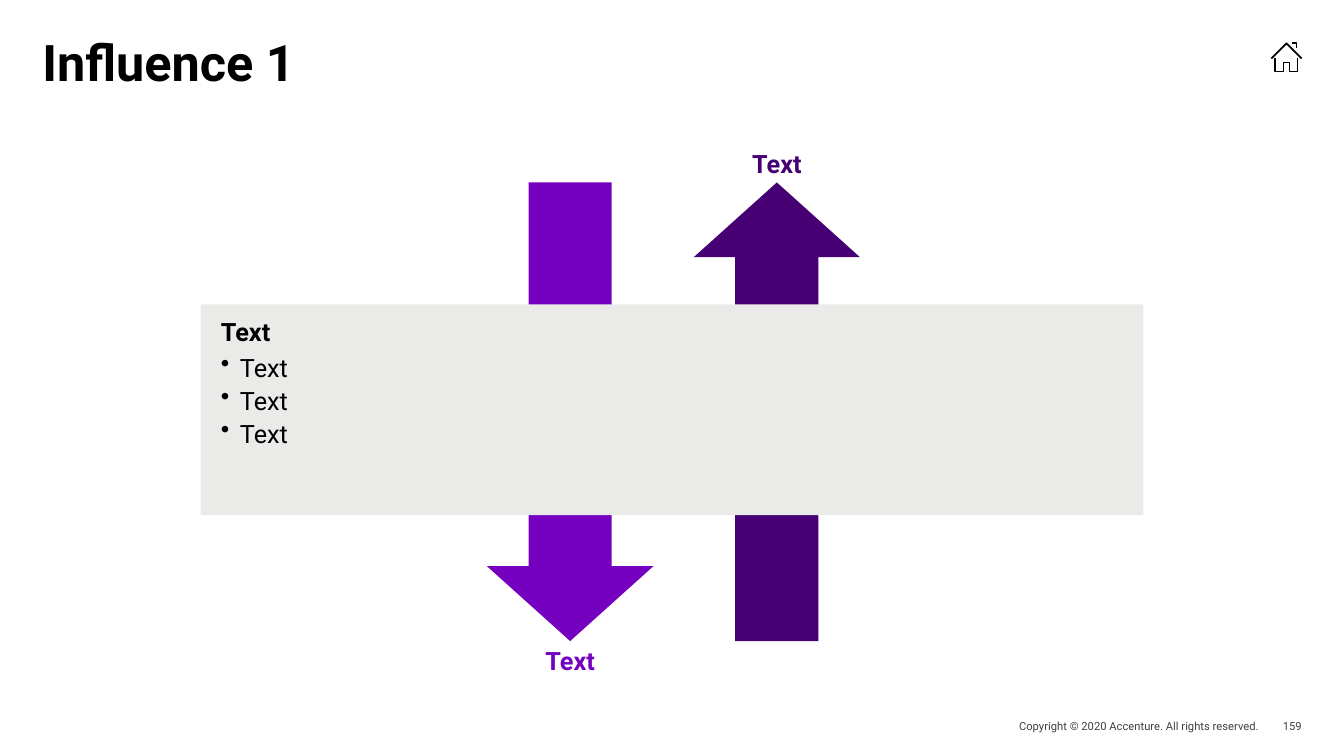
"""Build the "Influence 1" slide: two opposing arrows passing behind a text panel."""
import pptx
import pptx.util
import pptx.dml.color
import pptx.enum.shapes
import pptx.enum.text
from lxml import etree

SHAPE = pptx.enum.shapes.MSO_SHAPE
ALIGN = pptx.enum.text.PP_ALIGN
ANCHOR = pptx.enum.text.MSO_ANCHOR
Inches, Pt = pptx.util.Inches, pptx.util.Pt

TITLE = "Influence 1"
COPYRIGHT = "Copyright © 2020 Accenture. All rights reserved."
PAGE = "159"
PANEL_HEADING = "Text"
PANEL_BULLETS = ["Text", "Text", "Text"]
INFLUENCES = [
    {"label": "Text", "direction": "down", "color": "violet"},
    {"label": "Text", "direction": "up", "color": "indigo"},
]
HOME_STROKES = [
    [(1261, 58), (1276, 43), (1291, 58)],
    [(1281, 43), (1286, 43), (1286, 48)],
    [(1265, 58), (1265, 71), (1273, 71), (1273, 62),
     (1279, 62), (1279, 71), (1287, 71), (1287, 58)],
]
COLORS = {"black": "000000", "footer": "404040", "violet": "7500C0",
          "indigo": "460073", "panel": "EAEAE8"}
FONT = "Roboto"

WIDTH, HEIGHT = 13.33, 7.5
MARGIN = 0.42
RIGHT = WIDTH - MARGIN
PANEL_W, PANEL_H, PANEL_TOP = 9.35, 2.09, 3.02
ARROW_W, ARROW_H, ARROW_TOP = 1.65, 4.55, 1.81
ARROW_PITCH, ARROWS_MIDDLE = 2.05, 6.68
LABEL_W, LABEL_H = 1.95, 0.38
FOOTER_TOP, FOOTER_H, PAGE_W, COPYRIGHT_W = 7.09, 0.23, 0.42, 3.4


def rgb(color):
    return pptx.dml.color.RGBColor.from_string(COLORS[color])


def style(paragraph, size, color, bold=False):
    font = paragraph.font
    font.name, font.size, font.bold = FONT, Pt(size), bold
    font.color.rgb = rgb(color)


def set_margins(frame, left=0, top=0, right=0, bottom=0):
    frame.margin_left, frame.margin_top = Inches(left), Inches(top)
    frame.margin_right, frame.margin_bottom = Inches(right), Inches(bottom)
    frame.word_wrap = True


def add_text(slide, box, text, size, color, bold=False, align=ALIGN.LEFT,
             anchor=ANCHOR.MIDDLE):
    frame = slide.shapes.add_textbox(*map(Inches, box)).text_frame
    set_margins(frame)
    frame.vertical_anchor = anchor
    frame.text = text
    line = frame.paragraphs[0]
    line.alignment = align
    style(line, size, color, bold)
    return line


def add_solid(slide, preset, box, color):
    solid = slide.shapes.add_shape(preset, *map(Inches, box))
    solid.shadow.inherit = False
    solid.fill.solid()
    solid.fill.fore_color.rgb = rgb(color)
    solid.line.fill.background()
    return solid


def add_home(slide):
    outline = slide.shapes.build_freeform(*HOME_STROKES[0][0], scale=Inches(0.01))
    for index, (start, *rest) in enumerate(HOME_STROKES):
        if index:
            outline.move_to(*start)
        outline.add_line_segments(rest, close=False)
    home = outline.convert_to_shape()
    home.shadow.inherit = False
    home.fill.background()
    home.line.color.rgb = rgb("black")
    home.line.width = Pt(1.25)


def add_influence(slide, index, influence):
    center = ARROWS_MIDDLE + (index - (len(INFLUENCES) - 1) / 2) * ARROW_PITCH
    down = influence["direction"] == "down"
    arrow = add_solid(slide, SHAPE.DOWN_ARROW if down else SHAPE.UP_ARROW,
                      (center - ARROW_W / 2, ARROW_TOP, ARROW_W, ARROW_H),
                      influence["color"])
    arrow.adjustments[0], arrow.adjustments[1] = 0.5, 0.45
    label_top = ARROW_TOP + ARROW_H if down else ARROW_TOP - LABEL_H
    add_text(slide, (center - LABEL_W / 2, label_top, LABEL_W, LABEL_H),
             influence["label"], 18, influence["color"], True, ALIGN.CENTER)


def add_bullet(paragraph):
    properties = paragraph._p.get_or_add_pPr()
    properties.set("marL", str(Inches(0.19)))
    properties.set("indent", str(-Inches(0.19)))
    bullet = etree.SubElement(properties, pptx.oxml.ns.qn("a:buChar"))
    bullet.set("char", "•")


def add_panel(slide):
    panel = add_solid(slide, SHAPE.RECTANGLE,
                      ((WIDTH - PANEL_W) / 2, PANEL_TOP, PANEL_W, PANEL_H), "panel")
    frame = panel.text_frame
    set_margins(frame, 0.2, 0.16, 0.08, 0.08)
    frame.vertical_anchor = ANCHOR.TOP
    frame.text = "\n".join([PANEL_HEADING, *PANEL_BULLETS])
    heading, *bullets = frame.paragraphs
    heading.alignment = ALIGN.LEFT
    heading.line_spacing = 0.85
    heading.space_after = Pt(3)
    style(heading, 18, "black", True)
    for item in bullets:
        add_bullet(item)
        item.alignment = ALIGN.LEFT
        item.space_before = item.space_after = Pt(1)
        style(item, 18, "black")


def main():
    deck = pptx.Presentation()
    deck.slide_width, deck.slide_height = Inches(WIDTH), Inches(HEIGHT)
    slide = deck.slides.add_slide(deck.slide_layouts[6])
    page_left = RIGHT - PAGE_W
    add_text(slide, (page_left - COPYRIGHT_W, FOOTER_TOP, COPYRIGHT_W, FOOTER_H),
             COPYRIGHT, 8, "footer", align=ALIGN.RIGHT)
    add_text(slide, (page_left, FOOTER_TOP, PAGE_W, FOOTER_H),
             PAGE, 8, "footer", align=ALIGN.RIGHT)
    title = add_text(slide, (MARGIN, MARGIN, RIGHT - MARGIN, 1.08), TITLE, 36,
                     "black", True, anchor=ANCHOR.TOP)
    title.line_spacing = 0.8
    add_home(slide)
    for index, influence in enumerate(INFLUENCES):
        add_influence(slide, index, influence)
    add_panel(slide)
    deck.save("out.pptx")


if __name__ == "__main__":
    main()
